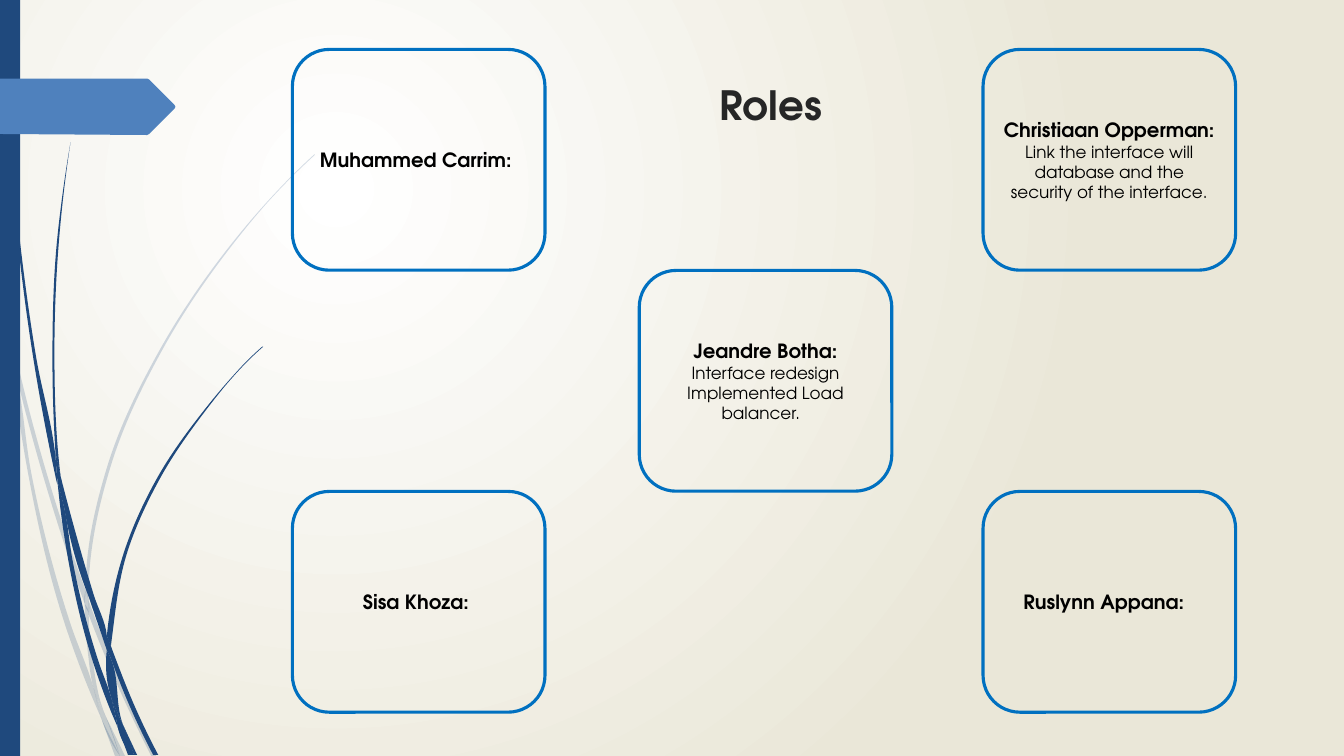
from math import dist

from lxml import etree
from pptx import Presentation
from pptx import util as u
from pptx.dml.color import RGBColor
from pptx.enum import shapes, text
from pptx.oxml.ns import qn

COLUMNS, ROWS = 1333, 750
CELL = u.Inches(0.01)
NAVY, STEEL, BLUE, INK, BLACK = "1F497D", "4F81BD", "0070C0", "262626", "000000"

PALE_BLADES = [
    ([(0, 282), (9, 322), (11, 350)], [(10, 344), (0, 299)]),
    ([(14, 345), (62, 520), (85, 586)], [(84, 599), (58, 522), (17, 376)]),
    ([(88, 596), (92, 607), (127, 692), (155, 750)], [(150, 750), (123, 694), (88, 610)]),
    ([(105, 711), (124, 750)], [(119, 750), (105, 711)]),
    ([(11, 350), (17, 376), (31, 469), (70, 619), (93, 683), (99, 707), (101, 714)],
     [(92, 693), (65, 621), (28, 470), (11, 350)]),
    ([(84, 599), (88, 608), (88, 610), (91, 646), (103, 706), (105, 711)],
     [(96, 692), (93, 683), (87, 646), (84, 599)]),
    ([(88, 596), (88, 584), (110, 462), (160, 349), (229, 245), (268, 198), (290, 175), (312, 154)],
     [(312, 153), (289, 175), (268, 197), (228, 244), (158, 348), (107, 461), (85, 584), (85, 586)]),
    ([(101, 714), (119, 750)], [(114, 750), (101, 714)]),
    ([(85, 586), (88, 596), (88, 610)], [(88, 608), (84, 599), (85, 586)]),
    ([(93, 683), (96, 692), (105, 711), (119, 750)], [(119, 750), (101, 714), (99, 707), (93, 683)]),
]
DARK_BLADES = [
    ([(4, 0), (5, 48), (8, 109), (19, 232), (36, 355), (55, 453), (57, 481)],
     [(56, 477), (33, 355), (17, 233), (7, 110), (4, 48), (3, 0)]),
    ([(60, 472), (93, 590), (106, 631), (106, 645)], [(88, 592), (64, 505), (60, 472)]),
    ([(110, 641), (113, 649), (136, 706), (157, 749)], [(152, 749), (132, 708), (111, 656)]),
    ([(57, 477), (64, 505), (72, 556), (98, 657), (110, 691), (116, 717), (117, 722)],
     [(111, 708), (93, 659), (68, 557), (57, 477)]),
    ([(70, 141), (63, 193), (58, 245), (54, 349), (58, 453), (60, 472)],
     [(55, 449), (52, 349), (56, 245), (62, 193), (70, 141)]),
    ([(122, 719), (136, 749)], [(133, 749), (122, 719)]),
    ([(55, 449), (60, 472), (64, 505)], [(57, 477), (55, 453)]),
    ([(261, 344), (245, 359), (231, 374), (205, 406), (158, 476), (125, 552), (111, 633), (110, 641)],
     [(106, 631), (122, 551), (156, 474), (204, 405), (231, 373), (245, 358), (260, 344)]),
    ([(117, 722), (131, 749)], [(127, 749), (117, 722)]),
    ([(106, 645), (109, 651), (111, 656), (121, 716), (122, 719)],
     [(116, 706), (110, 691), (106, 645)]),
    ([(106, 631), (110, 641), (111, 656)], [(109, 651), (106, 645)]),
    ([(110, 691), (116, 706), (122, 719), (133, 749)], [(130, 749), (117, 722), (116, 717), (110, 691)]),
]
PENNANT = [(0, 78), (146, 78), (148, 79), (173, 104), (174, 106),
           (173, 108), (148, 133), (146, 134), (0, 133)]

CARD_LEFTS = (290, 634, 975)
CARD_TOP, CARD_PITCH, CARD_SIZE = 49, 219.25, (250.5, 219)
MEMBERS = [
    (2, 2, "Ruslynn Appana:  ", []),
    (1, 1, "Jeandre Botha:", ["Interface redesign", "Implemented Load balancer.  "]),
    (0, 0, "Muhammed Carrim: ", []),
    (0, 2, "Sisa Khoza: ", []),
    (2, 0, "Christiaan Opperman:",
     ["Link the interface will database and the security of the interface."]),
]


def colour(hex_code):
    return RGBColor.from_string(hex_code)


def edge_slopes(edge):
    lengths = [dist(a, b) for a, b in zip(edge, edge[1:])]
    chords = [((c - a) / n, (d - b) / n)
              for (a, b), (c, d), n in zip(edge, edge[1:], lengths)]
    inner = [tuple((p * m + q * n) / (m + n) for p, q in zip(before, after))
             for before, after, n, m in zip(chords, chords[1:], lengths, lengths[1:])]
    if not inner:
        return [chords[0], chords[0]]
    first = tuple(2 * c - s for c, s in zip(chords[0], inner[0]))
    last = tuple(2 * c - s for c, s in zip(chords[-1], inner[-1]))
    return [first, *inner, last]


def edge_curves(edge):
    slopes = edge_slopes(edge)
    for a, b, leave, arrive in zip(edge, edge[1:], slopes, slopes[1:]):
        reach = dist(a, b) / 3
        yield (tuple(p + reach * s for p, s in zip(a, leave)),
               tuple(p - reach * s for p, s in zip(b, arrive)), b)


def write(paragraph, words, size=12, bold=False, ink=BLACK, face="TeX Gyre Adventor"):
    paragraph.alignment = text.PP_ALIGN.CENTER
    run = paragraph.add_run()
    run.text = words
    run.font.name, run.font.size, run.font.bold = face, u.Pt(size), bold
    run.font.color.rgb = colour(ink)


class RolesSlide:
    def __init__(self, deck):
        self.slide = deck.slides.add_slide(deck.slide_layouts[6])

    def place(self, left, top, width, height):
        return [round(length * CELL) for length in (left, top, width, height)]

    def backdrop(self, centre, rim):
        fill = self.slide.background.fill
        fill.gradient()
        for stop, tone in zip(fill.gradient_stops, (centre, rim)):
            stop.color.rgb = colour(tone)
        gradient = self.slide.element.find(".//" + qn("a:gradFill"))
        gradient.remove(gradient.find(qn("a:lin")))
        circle = etree.SubElement(gradient, qn("a:path"))
        circle.set("path", "circle")
        target = etree.SubElement(circle, qn("a:fillToRect"))
        for side, share in zip("ltrb", (50000, 50000, 100000, 100000)):
            target.set(side, str(share))

    def paint(self, shape, tone, opacity=100):
        shape.shadow.inherit = False
        shape.fill.solid()
        shape.fill.fore_color.rgb = colour(tone)
        shape.line.fill.background()
        if opacity < 100:
            tint = shape.element.find(".//" + qn("a:srgbClr"))
            etree.SubElement(tint, qn("a:alpha")).set("val", str(opacity * 1000))

    def outline(self, points, tone, opacity=100):
        start, *rest = [(round(x * CELL), round(y * CELL)) for x, y in points]
        builder = self.slide.shapes.build_freeform(*start, scale=1.0)
        builder.add_line_segments(rest, close=True)
        shape = builder.convert_to_shape()
        self.paint(shape, tone, opacity)
        return shape

    def blade(self, near_edge, far_edge, tone, opacity):
        shape = self.outline(near_edge + far_edge, tone, opacity)
        contour = shape.element.find(".//" + qn("a:path"))
        curves = [*edge_curves(near_edge), None, *edge_curves(far_edge)]
        for straight, curve in zip(contour.findall(qn("a:lnTo")), curves):
            if curve is None:
                continue
            bend = etree.Element(qn("a:cubicBezTo"))
            for x, y in curve:
                spot = etree.SubElement(bend, qn("a:pt"))
                spot.set("x", str(round(x * CELL) - shape.left))
                spot.set("y", str(round(y * CELL) - shape.top))
            contour.replace(straight, bend)

    def bar(self, box, tone):
        kind = shapes.MSO_SHAPE.RECTANGLE
        self.paint(self.slide.shapes.add_shape(kind, *self.place(*box)), tone)

    def title(self, box, words):
        frame = self.slide.shapes.add_textbox(*self.place(*box)).text_frame
        frame.word_wrap = True
        frame.vertical_anchor = text.MSO_ANCHOR.MIDDLE
        write(frame.paragraphs[0], words, size=28.8, bold=True, ink=INK)

    def card(self, column, row, member, duties):
        box = CARD_LEFTS[column], CARD_TOP + row * CARD_PITCH, *CARD_SIZE
        card = self.slide.shapes.add_shape(shapes.MSO_SHAPE.ROUNDED_RECTANGLE, *self.place(*box))
        card.shadow.inherit = False
        card.fill.background()
        card.line.color.rgb = colour(BLUE)
        card.line.width = u.Pt(2.25)
        frame = card.text_frame
        frame.word_wrap = True
        frame.margin_left = frame.margin_right = 9 * CELL
        frame.vertical_anchor = text.MSO_ANCHOR.MIDDLE
        write(frame.paragraphs[0], member, size=14, bold=True)
        for duty in duties:
            write(frame.add_paragraph(), duty)


def main():
    deck = Presentation()
    deck.slide_width, deck.slide_height = COLUMNS * CELL, ROWS * CELL
    roles = RolesSlide(deck)
    roles.backdrop("FFFFFF", "EAE7D8")
    for blades, opacity in ((PALE_BLADES, 20), (DARK_BLADES, 100)):
        for near_edge, far_edge in blades:
            roles.blade(near_edge, far_edge, NAVY, opacity)
    roles.bar((0, 0, 20, ROWS), NAVY)
    roles.outline(PENNANT, STEEL)
    roles.title((591, 73, 347, 62), "Roles")
    for member in MEMBERS:
        roles.card(*member)
    deck.save("out.pptx")


if __name__ == "__main__":
    main()
